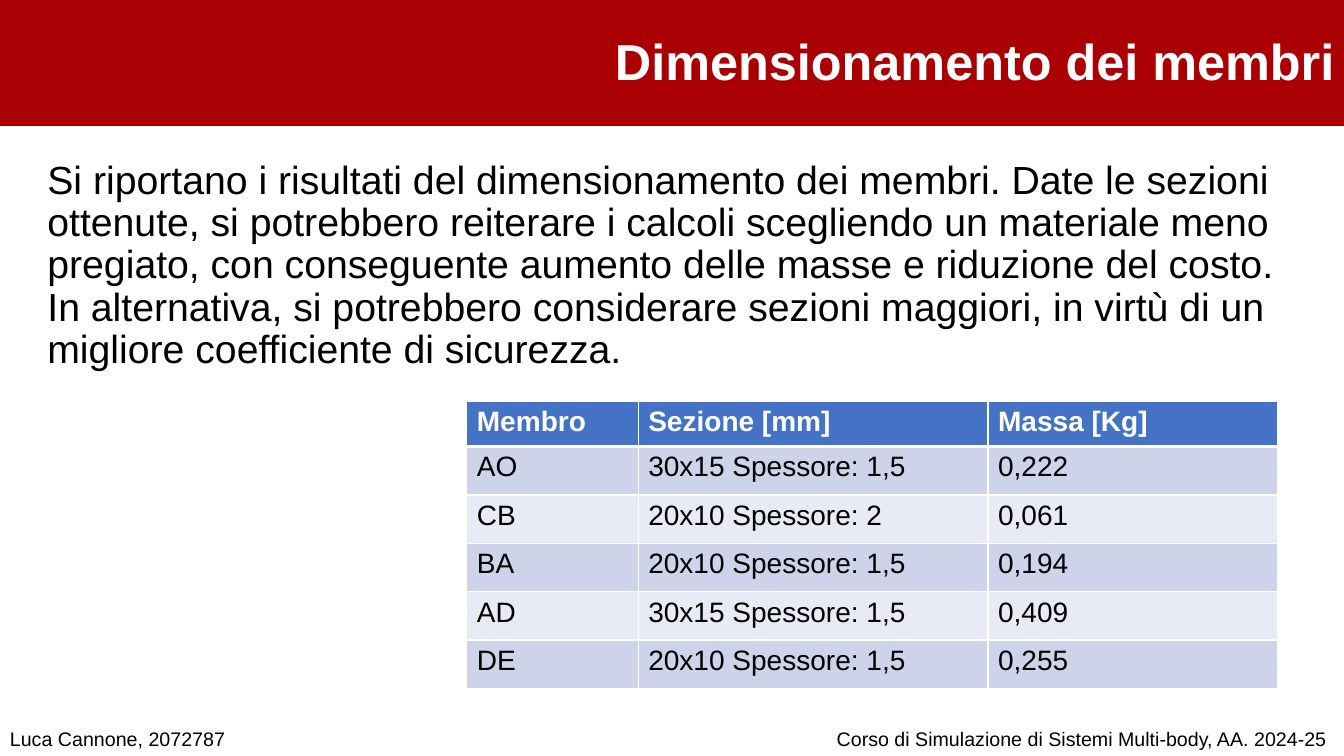
from lxml.etree import SubElement
from pptx import Presentation
from pptx.dml.color import RGBColor
from pptx.enum.shapes import MSO_SHAPE
from pptx.enum.text import MSO_ANCHOR, MSO_AUTO_SIZE, PP_ALIGN
from pptx.oxml.ns import qn
from pptx.util import Inches, Pt

RED, BLUE, WHITE, BLACK = "AA0004", "4472C4", "FFFFFF", "000000"
BANDS = ("CDD4EA", "E8EBF5")


def paint(target, color):
    """Fill a shape or cell with a solid colour."""
    target.fill.solid()
    target.fill.fore_color.rgb = RGBColor.from_string(color)


class Page:
    font = "Arial"

    def __init__(self, deck):
        self.slide = deck.slides.add_slide(deck.slide_layouts[1])
        self.shapes = self.slide.shapes

    def place(self, shape, box):
        shape.left, shape.top, shape.width, shape.height = map(Inches, box)

    def style(self, par, size, color=BLACK, bold=False):
        par.font.name = self.font
        par.font.size = Pt(size)
        par.font.bold = bold
        par.font.color.rgb = RGBColor.from_string(color)

    def band(self, box, color):
        shape = self.shapes.add_shape(MSO_SHAPE.RECTANGLE, *map(Inches, box))
        shape.shadow.inherit = False
        paint(shape, color)
        shape.line.fill.background()
        # Send behind the placeholders
        self.shapes._spTree.insert(2, shape._element)

    def title(self, text, box):
        shape = self.shapes.title
        self.place(shape, box)
        frame = shape.text_frame
        frame.text = text
        frame.auto_size = MSO_AUTO_SIZE.NONE
        frame.vertical_anchor = MSO_ANCHOR.MIDDLE
        par = frame.paragraphs[0]
        par.alignment = PP_ALIGN.RIGHT
        par.line_spacing = 0.9
        self.style(par, 36, WHITE, True)

    def body(self, lines, box):
        shape = self.slide.placeholders[1]
        self.place(shape, box)
        frame = shape.text_frame
        frame.text = "\n".join(lines)
        frame.auto_size = MSO_AUTO_SIZE.NONE
        for par in frame.paragraphs:
            par.line_spacing = 0.9
            par.space_before = Pt(0)
            props = par._p.get_or_add_pPr()
            props.set("marL", "0")
            props.set("indent", "0")
            SubElement(props, qn("a:buNone"))
            self.style(par, 28)

    def label(self, text, box):
        frame = self.shapes.add_textbox(*map(Inches, box)).text_frame
        frame.text = text
        frame.word_wrap = False
        self.style(frame.paragraphs[0], 14)

    def border(self, cell, side, width):
        line = SubElement(cell._tc.get_or_add_tcPr(), qn(f"a:ln{side}"), w=str(Pt(width)))
        fill = SubElement(line, qn("a:solidFill"))
        SubElement(fill, qn("a:srgbClr"), val=WHITE)

    def table(self, rows, box, widths, heights):
        grid = self.shapes.add_table(len(rows), len(widths), *map(Inches, box)).table
        for col, width in zip(grid.columns, widths):
            col.width = Inches(width)
        for r, (row, height) in enumerate(zip(rows, heights)):
            grid.rows[r].height = Inches(height)
            head = r == 0
            for c, text in enumerate(row):
                cell = grid.cell(r, c)
                cell.text = text
                for side in "LRTB":
                    thick = (head and side == "B") or (r == 1 and side == "T")
                    self.border(cell, side, 3 if thick else 1)
                paint(cell, BLUE if head else BANDS[(r - 1) % 2])
                self.style(cell.text_frame.paragraphs[0], 20, WHITE if head else BLACK, head)


def main():
    deck = Presentation()
    deck.slide_width, deck.slide_height = Inches(13.33), Inches(7.5)
    page = Page(deck)

    # Header
    page.band((0, 0, 13.33, 1.25), RED)
    page.title("Dimensionamento dei membri", (4.63, 0, 8.71, 1.27))

    # Comment on the results
    page.body([
        "Si riportano i risultati del dimensionamento dei membri. Date le sezioni "
        "ottenute, si potrebbero reiterare i calcoli scegliendo un materiale meno "
        "pregiato, con conseguente aumento delle masse e riduzione del costo.",
        "In alternativa, si potrebbero considerare sezioni maggiori, in virtù di un "
        "migliore coefficiente di sicurezza.",
    ], (0.37, 1.54, 12.6, 4.27))

    # Sections and masses
    rows = [
        ("Membro", "Sezione [mm]", "Massa [Kg]"),
        ("AO", "30x15 Spessore: 1,5", "0,222"),
        ("CB", "20x10 Spessore: 2", "0,061"),
        ("BA", "20x10 Spessore: 1,5", "0,194"),
        ("AD", "30x15 Spessore: 1,5", "0,409"),
        ("DE", "20x10 Spessore: 1,5", "0,255"),
    ]
    page.table(rows, (4.63, 3.98, 8.04, 2.84), (1.7, 3.47, 2.87), [0.45] + [0.48] * 5)

    # Footer
    page.label("Luca Cannone, 2072787", (0, 7.16, 2.41, 0.34))
    page.label("Corso di Simulazione di Sistemi Multi-body, AA. 2024-25", (8.2, 7.16, 5.13, 0.34))

    deck.save("out.pptx")


if __name__ == "__main__":
    main()
